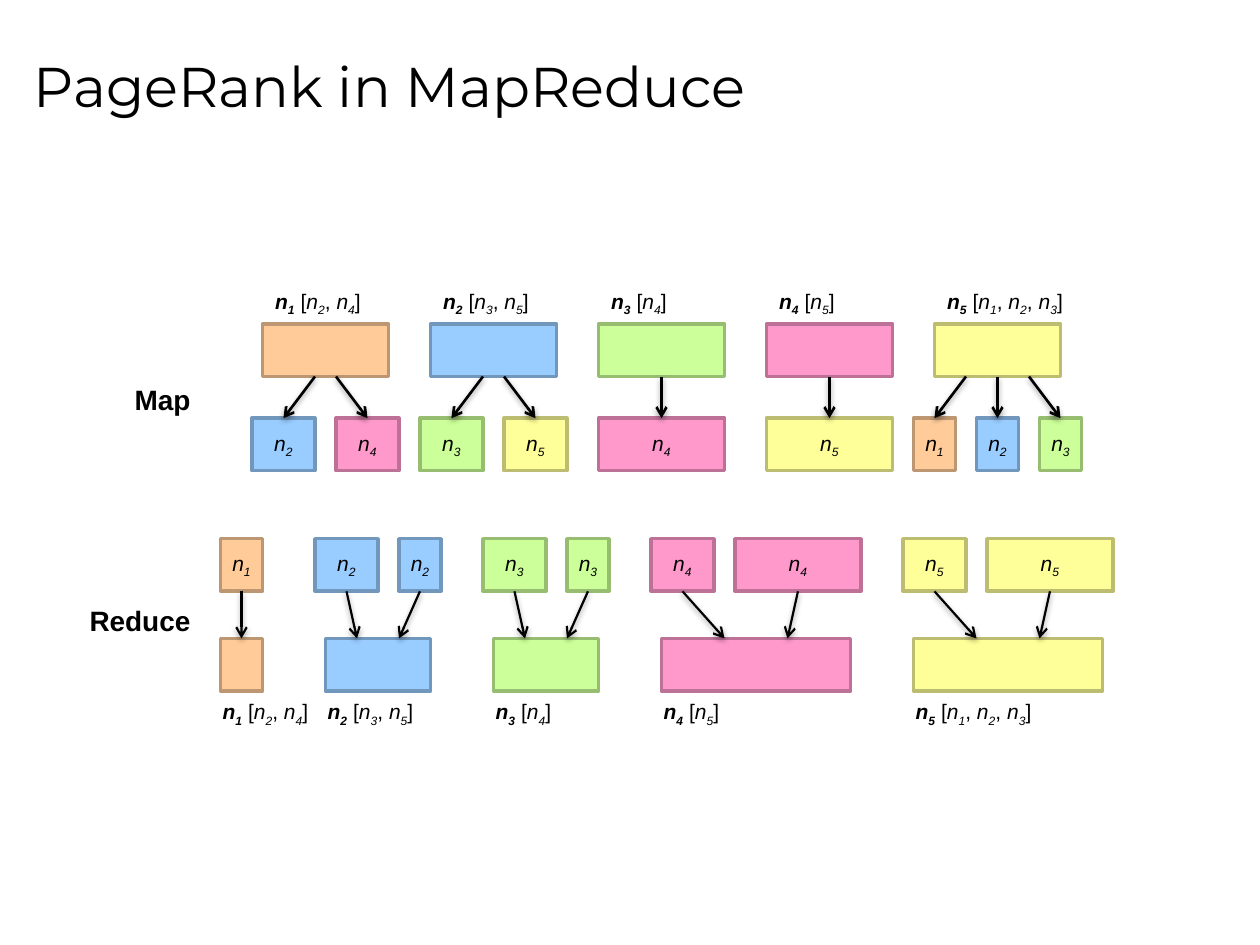
from lxml import etree
from pptx import Presentation
from pptx.dml.color import RGBColor
from pptx.enum.shapes import MSO_CONNECTOR, MSO_SHAPE
from pptx.enum.text import MSO_ANCHOR, MSO_AUTO_SIZE, PP_ALIGN
from pptx.oxml.ns import qn
from pptx.util import Cm, Pt

RECTANGLE = MSO_SHAPE.RECTANGLE
STRAIGHT = MSO_CONNECTOR.STRAIGHT
MIDDLE = MSO_ANCHOR.MIDDLE
FIT_SHAPE = MSO_AUTO_SIZE.SHAPE_TO_FIT_TEXT
LEFT, CENTER, RIGHT = PP_ALIGN.LEFT, PP_ALIGN.CENTER, PP_ALIGN.RIGHT
TOP_SIDE, BOTTOM_SIDE = 0, 2
PLAIN_TABLE = "{2D5ABB26-0587-4C30-8999-92F81FD0307C}"

COLORS = {
    "text": "000000",
    "fill": {1: "FFCC99", 2: "99CCFF", 3: "CCFF99", 4: "FF99CC", 5: "FFFF99"},
    "line": {1: "BD9771", 2: "7197BD", 3: "97BD71", 4: "BD7197", 5: "BDBD71"},
}

# The graph: each node and the nodes it links to
LINKS = {1: [2, 4], 2: [3, 5], 3: [4], 4: [5], 5: [1, 2, 3]}

# Horizontal grid, in columns of a twelfth of an inch
COLUMN = 2.54 / 12
NODE_WIDTH = 12
GAP = 2
MAP_LEFT = {node: 25 + 16 * (node - 1) for node in LINKS}
REDUCE_LEFT = {1: 21, 2: 30, 3: 46, 4: 62, 5: 86}

# Vertical positions, in centimetres
BOX_HEIGHT = 1.06
MAP_LABEL_TOP, MAP_NODE_TOP, MAP_SHARE_TOP = 5.72, 6.53, 8.43
REDUCE_SHARE_TOP, REDUCE_NODE_TOP, REDUCE_LABEL_TOP = 10.86, 12.87, 14.0


def columns(count):
    return Cm(count * COLUMN)


def set_font(paragraph, size, name="Arial", bold=None):
    font = paragraph.font
    font.name, font.size, font.bold = name, Pt(size), bold
    font.color.rgb = RGBColor.from_string(COLORS["text"])


def add_run(paragraph, text, bold=False, italic=False, subscript=False):
    run = paragraph.add_run()
    run.text = text
    run.font.bold, run.font.italic = bold, italic
    if subscript:
        run._r.get_or_add_rPr().set("baseline", "-25000")


def add_node_name(paragraph, node, bold=False):
    add_run(paragraph, "n", bold, True)
    add_run(paragraph, str(node), bold, True, subscript=True)


def add_text(slide, text, left, top, width, height, size, name="Arial",
             bold=None, align=LEFT, wrap=False):
    shape = slide.shapes.add_textbox(Cm(left), Cm(top), Cm(width), Cm(height))
    frame = shape.text_frame
    frame.word_wrap = wrap
    if wrap:
        frame.vertical_anchor = MIDDLE
    else:
        frame.auto_size = FIT_SHAPE
    paragraph = frame.paragraphs[0]
    paragraph.text = text
    paragraph.alignment = align
    set_font(paragraph, size, name, bold)


def add_node_label(slide, node, left, top):
    """One-cell table with a node and its adjacency list."""
    frame = slide.shapes.add_table(1, 1, columns(left), Cm(top), columns(19), Cm(0.79))
    table = frame.table
    table.first_row = table.horz_banding = False
    table._tbl.tblPr.find(qn("a:tableStyleId")).text = PLAIN_TABLE
    cell = table.cell(0, 0)
    cell.fill.background()
    paragraph = cell.text_frame.paragraphs[0]
    set_font(paragraph, 12)
    add_node_name(paragraph, node, bold=True)
    for index, target in enumerate(LINKS[node]):
        add_run(paragraph, ", " if index else " [")
        add_node_name(paragraph, target)
    add_run(paragraph, "]")


def add_box(slide, node, left, top, width, named=False):
    shape = slide.shapes.add_shape(
        RECTANGLE, columns(left), Cm(top), columns(width), Cm(BOX_HEIGHT))
    shape.shadow.inherit = False
    shape.fill.solid()
    shape.fill.fore_color.rgb = RGBColor.from_string(COLORS["fill"][node])
    shape.line.color.rgb = RGBColor.from_string(COLORS["line"][node])
    shape.line.width = Pt(2)
    if named:
        frame = shape.text_frame
        frame.margin_left = frame.margin_right = frame.margin_top = frame.margin_bottom = 0
        frame.word_wrap = False
        frame.vertical_anchor = MIDDLE
        paragraph = frame.paragraphs[0]
        paragraph.alignment = CENTER
        set_font(paragraph, 12)
        add_node_name(paragraph, node)
    return shape


def add_arrow(slide, source, target, start, end, width):
    """Arrow from the bottom of source to the top of target, joined at midpoints."""
    connector = slide.shapes.add_connector(
        STRAIGHT, columns(start), source.top + source.height, columns(end), target.top)
    if abs(columns(start) - source.left - source.width / 2) < Cm(0.01):
        connector.begin_connect(source, BOTTOM_SIDE)
    if abs(columns(end) - target.left - target.width / 2) < Cm(0.01):
        connector.end_connect(target, TOP_SIDE)
    connector.line.color.rgb = RGBColor.from_string(COLORS["text"])
    connector.line.width = Pt(width)
    properties = connector._element.spPr
    etree.SubElement(properties.find(qn("a:ln")), qn("a:tailEnd"), type="arrow")
    # Soft shadow below the arrow
    effects = etree.SubElement(properties, qn("a:effectLst"))
    shadow = etree.SubElement(effects, qn("a:outerShdw"), blurRad="40000",
                              dist="20000", dir="5400000", rotWithShape="0")
    color = etree.SubElement(shadow, qn("a:srgbClr"), val=COLORS["text"])
    etree.SubElement(color, qn("a:alpha"), val="38000")


def add_map_node(slide, node):
    """A node that divides itself evenly among the nodes it links to."""
    targets = LINKS[node]
    count = len(targets)
    left = MAP_LEFT[node]
    center = left + NODE_WIDTH / 2
    share = NODE_WIDTH / count
    add_node_label(slide, node, left, MAP_LABEL_TOP)
    parent = add_box(slide, node, left, MAP_NODE_TOP, NODE_WIDTH)
    for index, target in enumerate(targets):
        offset = index - (count - 1) / 2
        share_center = center + offset * (share + GAP)
        child = add_box(slide, target, share_center - share / 2, MAP_SHARE_TOP, share, True)
        add_arrow(slide, parent, child, center + offset * count, share_center, 1.5)


def add_reduce_node(slide, node):
    """The shares a node receives, summed into one box."""
    shares = [NODE_WIDTH / len(targets) for targets in LINKS.values() if node in targets]
    count, total = len(shares), sum(shares)
    left = REDUCE_LEFT[node]
    center = left + (total + GAP * (count - 1)) / 2
    result = add_box(slide, node, center - total / 2, REDUCE_NODE_TOP, total)
    for index, share in enumerate(shares):
        piece = add_box(slide, node, left, REDUCE_SHARE_TOP, share, True)
        offset = 2 * index - (count - 1)
        add_arrow(slide, piece, result, left + share / 2, center + offset * (total // 5), 1.25)
        left += share + GAP
    add_node_label(slide, node, center - total / 2 - 1, REDUCE_LABEL_TOP)


def main():
    presentation = Presentation()
    presentation.slide_width, presentation.slide_height = Cm(25.4), Cm(19.05)
    slide = presentation.slides.add_slide(presentation.slide_layouts[6])

    # Title
    add_text(slide, "PageRank in MapReduce", 0.43, 0.3, 24.13, 2.84, 32, "Montserrat", wrap=True)

    # Map and reduce phases
    for node in LINKS:
        add_map_node(slide, node)
    for node in LINKS:
        add_reduce_node(slide, node)

    # Phase names
    add_text(slide, "Map", 2.44, 7.59, 1.65, 0.94, 16, bold=True, align=RIGHT)
    add_text(slide, "Reduce", 1.52, 12.04, 2.57, 0.94, 16, bold=True, align=RIGHT)

    presentation.save("out.pptx")


if __name__ == "__main__":
    main()
